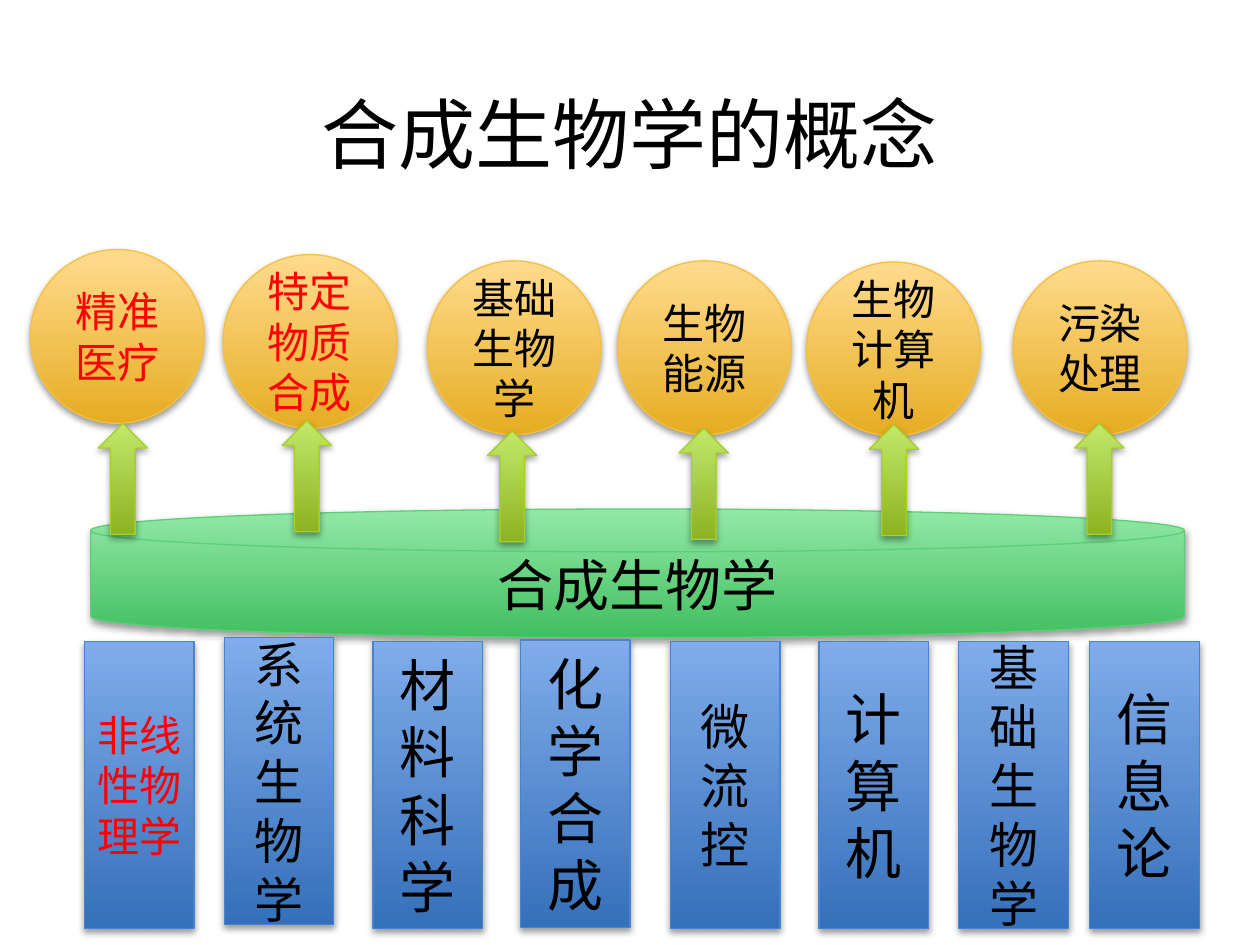
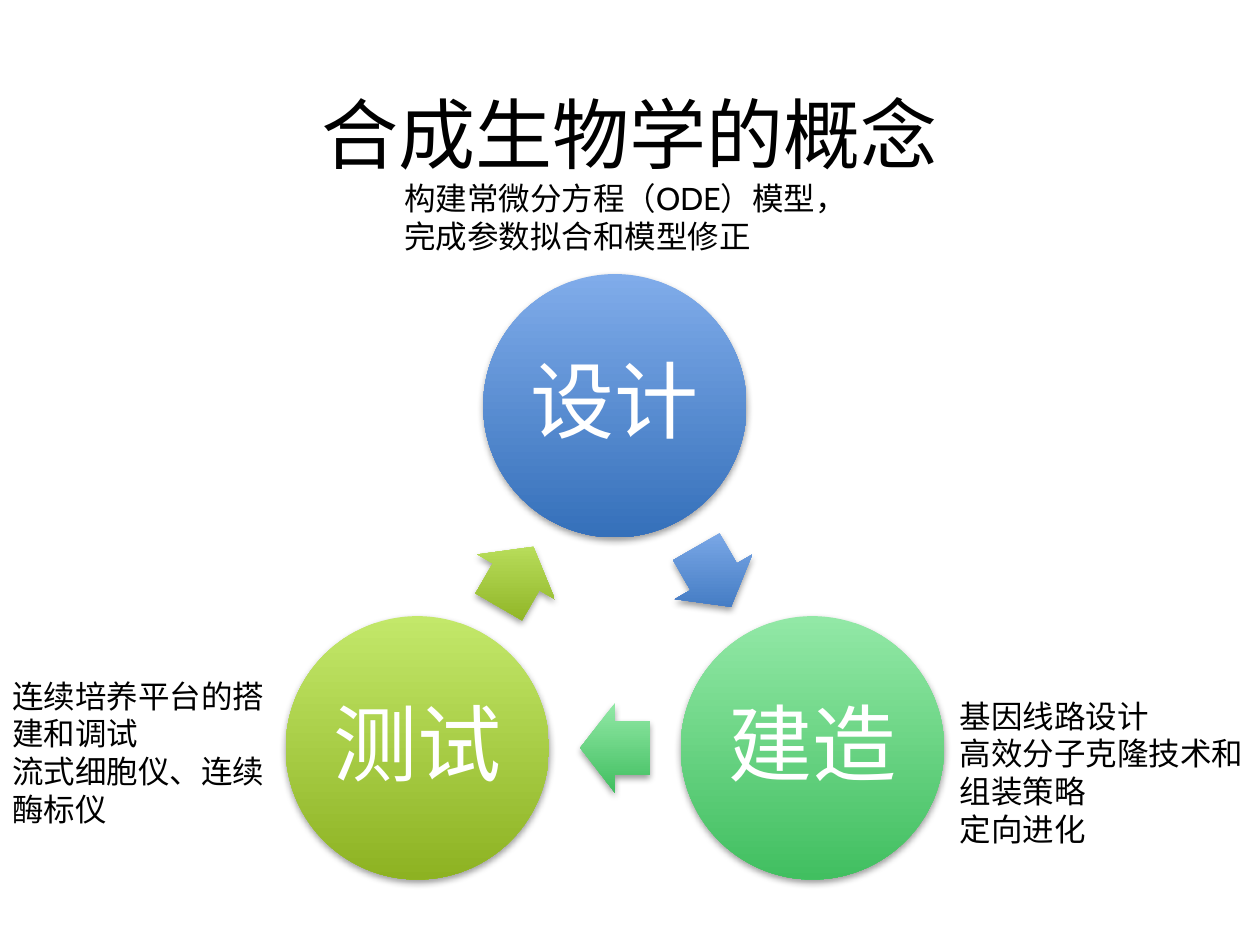
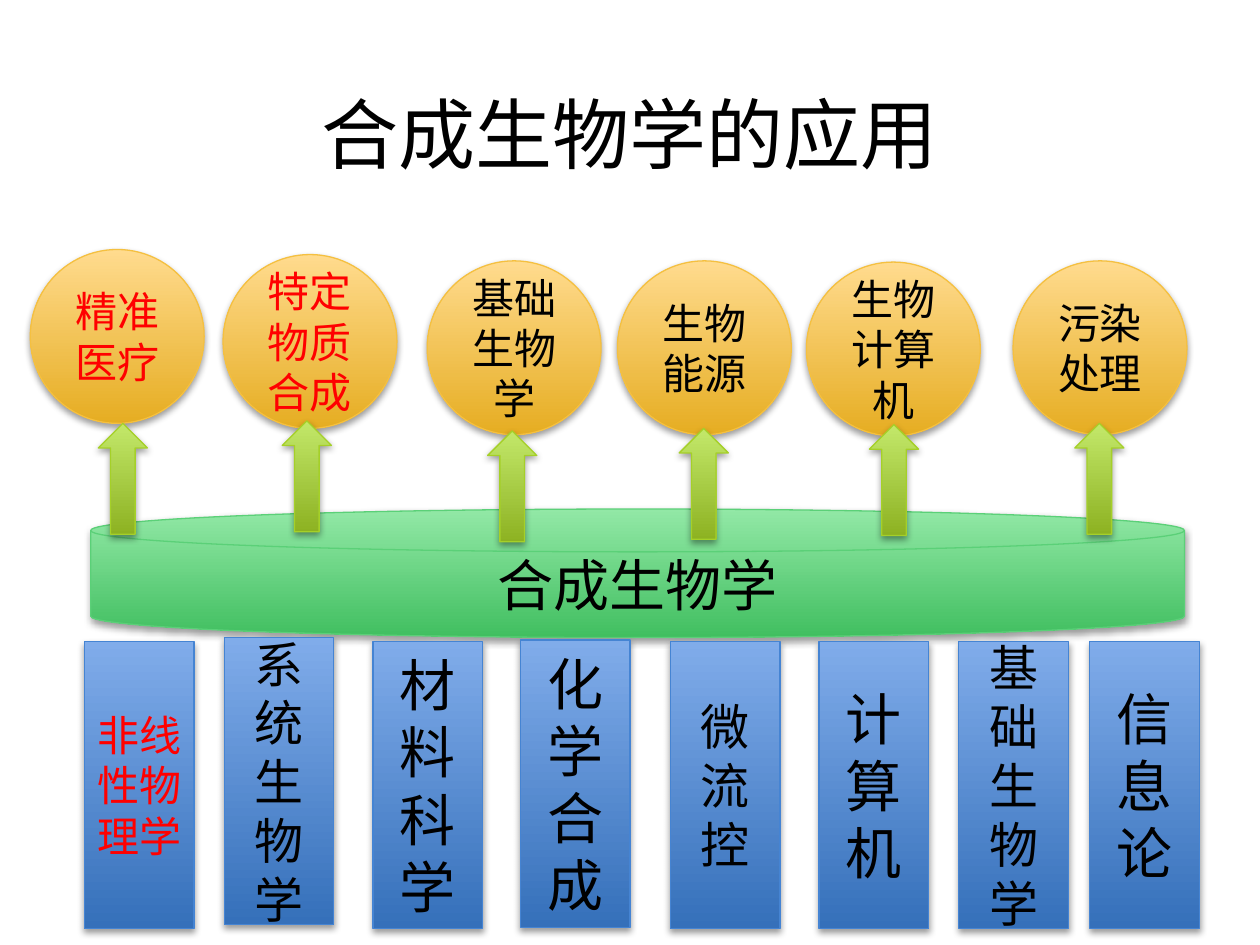
"""Builds three slides on the concept and applications of synthetic biology."""
import math

from lxml import etree
from pptx import Presentation
from pptx import util as u
from pptx.dml.color import RGBColor
from pptx.enum import lang, shapes, text
from pptx.oxml.ns import qn

FONT = "Cabin"
COLOURS = {"black": "000000", "red": "FF0000", "white": "FFFFFF"}
GRADIENTS = {
    "blue": ("80ACEA", "3570BA", "4584D3"),
    "green": ("92E8A6", "41BF60", "5BD078"),
    "lime": ("C3E86A", "8DB222", "A5D028"),
    "gold": ("FFDB8E", "E6AD22", "F5C040"),
}
SHAPE = shapes.MSO_SHAPE

APPLICATIONS = [
    (0.24, 1.98, "精准医疗", "red"),
    (1.77, 2.02, "特定物质合成", "red"),
    (3.39, 2.07, "基础生物学", "black"),
    (4.9, 2.07, "生物能源", "black"),
    (6.4, 2.08, "生物计算机", "black"),
    (8.04, 2.07, "污染处理", "black"),
]
ARROWS = [(0.78, 3.36), (2.24, 3.34), (3.87, 3.42), (5.39, 3.4), (6.9, 3.37), (8.53, 3.36)]
FOUNDATIONS = [
    (0.67, 5.09, ["非线性物理学"], 24, "red"),
    (1.78, 5.06, ["系统生物学"], 28, "black"),
    (2.96, 5.09, ["材料科学"], 32, "black"),
    (4.13, 5.08, ["化学", "合成"], 32, "black"),
    (5.32, 5.09, ["微流控"], 28, "black"),
    (6.5, 5.09, ["计算机"], 32, "black"),
    (7.61, 5.09, ["基础生物学"], 28, "black"),
    (8.65, 5.09, ["信息论"], 32, "black"),
]
STAGES = [("设计", "blue"), ("建造", "green"), ("测试", "lime")]
NOTES = [
    (3.11, 1.37, 3.83, 0.71, ["构建常微分方程（ODE）模型，完成参数拟合和模型修正"]),
    (7.52, 5.48, 2.48, 1.31, ["基因线路设计", "高效分子克隆技术和组装策略", "定向进化"]),
    (0, 5.32, 2.32, 1.31, ["连续培养平台的搭建和调试", "流式细胞仪、连续酶标仪"]),
]


class Deck:
    """Holds the shared style and the slide being drawn."""

    def __init__(self):
        self.presentation = Presentation()
        self.presentation.slide_width = u.Inches(10)
        self.presentation.slide_height = u.Inches(7.5)
        self.slide = None

    def new_slide(self, title):
        layout = self.presentation.slide_layouts[5]
        self.slide = self.presentation.slides.add_slide(layout)
        placeholder = self.slide.shapes.title
        placeholder.left, placeholder.top = u.Inches(0.5), u.Inches(0.37)
        placeholder.width, placeholder.height = u.Inches(9), u.Inches(1.37)
        self.add_lines(placeholder, [title], 44)

    def add_lines(self, shape, lines, size, colour="black", align=text.PP_ALIGN.CENTER,
                  anchor=text.MSO_ANCHOR.MIDDLE):
        frame = shape.text_frame
        frame.word_wrap = True
        frame.vertical_anchor = anchor
        for index, line in enumerate(lines):
            paragraph = frame.add_paragraph() if index else frame.paragraphs[0]
            paragraph.alignment = align
            run = paragraph.add_run()
            run.text = line
            run.font.name = FONT
            run.font.size = u.Pt(size)
            run.font.language_id = lang.MSO_LANGUAGE_ID.SIMPLIFIED_CHINESE
            run.font.color.rgb = RGBColor.from_string(COLOURS[colour])

    def note(self, left, top, width, height, lines):
        box = self.slide.shapes.add_textbox(*map(u.Inches, (left, top, width, height)))
        self.add_lines(box, lines, 18, align=text.PP_ALIGN.LEFT, anchor=text.MSO_ANCHOR.TOP)
        box.text_frame.auto_size = text.MSO_AUTO_SIZE.SHAPE_TO_FIT_TEXT

    def shape(self, kind, left, top, width, height, gradient, outlined=True):
        shape = self.slide.shapes.add_shape(kind, *map(u.Inches, (left, top, width, height)))
        start, end, outline = GRADIENTS[gradient]
        shape.fill.gradient()
        shape.fill.gradient_angle = 270
        for stop, colour in zip(shape.fill.gradient_stops, (start, end)):
            stop.color.rgb = RGBColor.from_string(colour)
        shape._element.spPr.find(qn("a:gradFill")).set("rotWithShape", "0")
        if outlined:
            shape.line.color.rgb = RGBColor.from_string(outline)
            shape.line.width = u.Pt(0.75)
        else:
            shape.line.fill.background()
        self.cast_shadow(shape)
        return shape

    def cast_shadow(self, shape):
        shape.shadow.inherit = False
        effects = shape._element.spPr.find(qn("a:effectLst"))
        shadow = etree.SubElement(effects, qn("a:outerShdw"), blurRad=str(u.Pt(4)),
                                  dist=str(u.Pt(2)), dir="5400000", rotWithShape="0")
        colour = etree.SubElement(shadow, qn("a:srgbClr"), val=COLOURS["black"])
        etree.SubElement(colour, qn("a:alpha"), val="38000")

    def stage(self, x, y, label, gradient):
        size = 2.09
        circle = self.shape(SHAPE.OVAL, x - size / 2, y - size / 2, size, size, gradient, False)
        self.add_lines(circle, [label], 48, "white")
        frame = circle.text_frame
        frame.margin_left = frame.margin_right = u.Inches(0.07)
        frame.margin_top = frame.margin_bottom = u.Inches(0.07)
        frame.paragraphs[0].line_spacing = 0.9

    def cycle_arrow(self, x, y, rotation, gradient):
        width, height = 0.55, 0.71
        arrow = self.shape(SHAPE.RIGHT_ARROW, x - width / 2, y - height / 2, width, height,
                           gradient, False)
        arrow.adjustments[0], arrow.adjustments[1] = 0.6, 0.5
        arrow.rotation = rotation


def on_ring(radius, degrees):
    """Returns the point of the design cycle at a clockwise angle from the top."""
    angle = math.radians(degrees)
    return 4.88 + radius * math.sin(angle), 5.03 - radius * math.cos(angle)


def draw_pillars(deck, title):
    """Draws the foundations that carry synthetic biology and its applications."""
    deck.new_slide(title)
    disk = deck.shape(SHAPE.FLOWCHART_MAGNETIC_DISK, 0.72, 4.04, 8.68, 1.02, "green")
    deck.add_lines(disk, ["合成生物学"], 32)
    for left, top, lines, size, colour in FOUNDATIONS:
        column = deck.shape(SHAPE.RECTANGLE, left, top, 0.87, 2.28, "blue")
        deck.add_lines(column, lines, size, colour)
    for left, top, label, colour in APPLICATIONS:
        circle = deck.shape(SHAPE.FLOWCHART_CONNECTOR, left, top, 1.38, 1.38, "gold")
        deck.add_lines(circle, [label], 24, colour)
    for left, top in ARROWS:
        deck.shape(SHAPE.UP_ARROW, left, top, 0.39, 0.88, "lime")


def draw_cycle(deck, title):
    """Draws the cycle of design, build and test with its notes."""
    deck.new_slide(title)
    radius = 1.81
    for index, (label, gradient) in enumerate(STAGES):
        degrees = index * 120
        deck.stage(*on_ring(radius, degrees), label, gradient)
        deck.cycle_arrow(*on_ring(radius / 2, degrees + 60), degrees + 60, gradient)
    for note in NOTES:
        deck.note(*note)


def main():
    """Builds the slides and saves them."""
    deck = Deck()
    draw_pillars(deck, "合成生物学的概念")
    draw_cycle(deck, "合成生物学的概念")
    draw_pillars(deck, "合成生物学的应用")
    deck.presentation.save("out.pptx")


if __name__ == "__main__":
    main()
